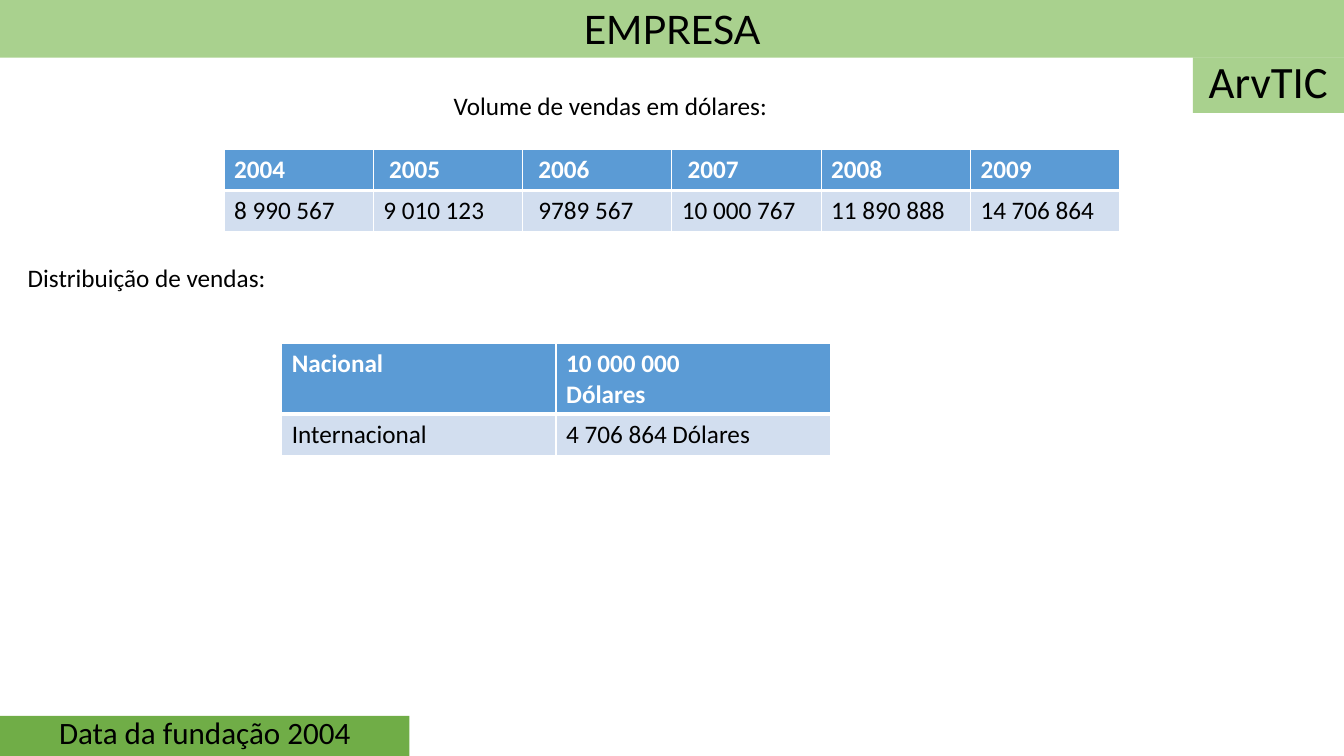
from lxml import etree
from pptx import Presentation
from pptx.dml.color import RGBColor
from pptx.enum.shapes import MSO_SHAPE
from pptx.enum.text import MSO_ANCHOR, MSO_AUTO_SIZE, PP_ALIGN
from pptx.oxml.ns import qn
from pptx.util import Pt

RECT = MSO_SHAPE.RECTANGLE
CENTER = PP_ALIGN.CENTER
TOP, MIDDLE, BOTTOM = MSO_ANCHOR.TOP, MSO_ANCHOR.MIDDLE, MSO_ANCHOR.BOTTOM
NO_FIT = MSO_AUTO_SIZE.NONE
TITLE_ONLY = 5
WIDTH, HEIGHT = 960, 540

COLORS = {
    "light_green": "A9D18E",
    "green": "70AD47",
    "header": "5B9BD5",
    "body": "D2DEEF",
    "white": "FFFFFF",
    "black": "000000",
}
SALES = [
    ["2004", " 2005", " 2006", " 2007", "2008", "2009"],
    ["8 990 567", "9 010 123", " 9789 567", "10 000 767", "11 890 888", "14 706 864"],
]
DISTRIBUTION = [
    ["Nacional", "10 000 000\nDólares"],
    ["Internacional", "4 706 864 Dólares"],
]


def rgb(name):
    """Return the named colour."""
    return RGBColor.from_string(COLORS[name])


def write(tf, text, size, font="Calibri", color="black", bold=False, align=None, spacing=None):
    """Set the text of a frame and format its paragraphs and runs."""
    tf.text = text
    for p in tf.paragraphs:
        p.alignment = align
        p.line_spacing = spacing
        for r in p.runs:
            r.font.name = font
            r.font.size = Pt(size)
            r.font.bold = bold
            r.font.color.rgb = rgb(color)


def style_band(sp, box, text, fill, size, anchor, font="Calibri", spacing=None):
    """Place a filled band in its box and centre its text."""
    sp.left, sp.top, sp.width, sp.height = map(Pt, box)
    sp.fill.solid()
    sp.fill.fore_color.rgb = rgb(fill)
    sp.line.fill.background()
    tf = sp.text_frame
    tf.word_wrap = True
    tf.auto_size = NO_FIT
    tf.margin_left = tf.margin_right = Pt(2)
    tf.vertical_anchor = anchor
    write(tf, text, size, font, align=CENTER, spacing=spacing)


def add_band(s, box, *args, **kwargs):
    """Add a rectangular band with centred text."""
    sp = s.shapes.add_shape(RECT, *map(Pt, box))
    sp.shadow.inherit = False
    style_band(sp, box, *args, **kwargs)


def add_label(s, box, text):
    """Add a one-line label above a table."""
    tf = s.shapes.add_textbox(*map(Pt, box)).text_frame
    tf.word_wrap = False
    write(tf, text, 18)


def add_border(cell, side, width):
    """Draw a white border on one side of a cell."""
    ln = etree.Element(qn("a:" + side), w=str(Pt(width)))
    fill = etree.SubElement(ln, qn("a:solidFill"))
    etree.SubElement(fill, qn("a:srgbClr"), val=COLORS["white"])
    cell.fill.solid()
    cell._tc.get_or_add_tcPr().insert(0, ln)


def add_sales_table(s, box, rows, heights):
    """Add a table with a header row and equal columns across its box."""
    count = len(rows[0])
    table = s.shapes.add_table(len(rows), count, *map(Pt, box)).table
    for column in table.columns:
        column.width = Pt(box[2] / count)
    for i, (values, height) in enumerate(zip(rows, heights)):
        table.rows[i].height = Pt(height)
        is_header = i == 0
        for j, value in enumerate(values):
            cell = table.cell(i, j)
            add_border(cell, "lnB" if is_header else "lnT", 3)
            cell.fill.fore_color.rgb = rgb("header" if is_header else "body")
            color = "white" if is_header else "black"
            write(cell.text_frame, value, 18, color=color, bold=is_header)


def build_company_slide(prs, box):
    """Build the company slide: bands at the edges, two labelled tables."""
    x, y, w, h = box
    s = prs.slides.add_slide(prs.slide_layouts[TITLE_ONLY])
    style_band(s.shapes.title, (x + w - 108, y + 41, 108, 39.6), "ArvTIC",
               "light_green", 32, BOTTOM, spacing=0.9)
    add_band(s, (x, y + h - 28.6, 292.5, 28.6), "Data da fundação 2004",
             "green", 22.2, TOP, spacing=0.8)
    add_band(s, (x, y, w, 41.2), "EMPRESA", "light_green", 28, MIDDLE, font="Lato")
    add_label(s, (x + 317, y + 60.9, 241, 29), "Volume de vendas em dólares:")
    add_sales_table(s, (x + 160, y + 106.8, 640, 58.4), SALES, (29.2, 29.2))
    add_label(s, (x + 12.7, y + 183.9, 186.5, 29), "Distribuição de vendas:")
    add_sales_table(s, (x + 201.2, y + 245.5, 392, 79.2), DISTRIBUTION, (50, 29.2))


prs = Presentation()
prs.slide_width, prs.slide_height = Pt(WIDTH), Pt(HEIGHT)
build_company_slide(prs, (0, 0, WIDTH, HEIGHT))
prs.save("out.pptx")
